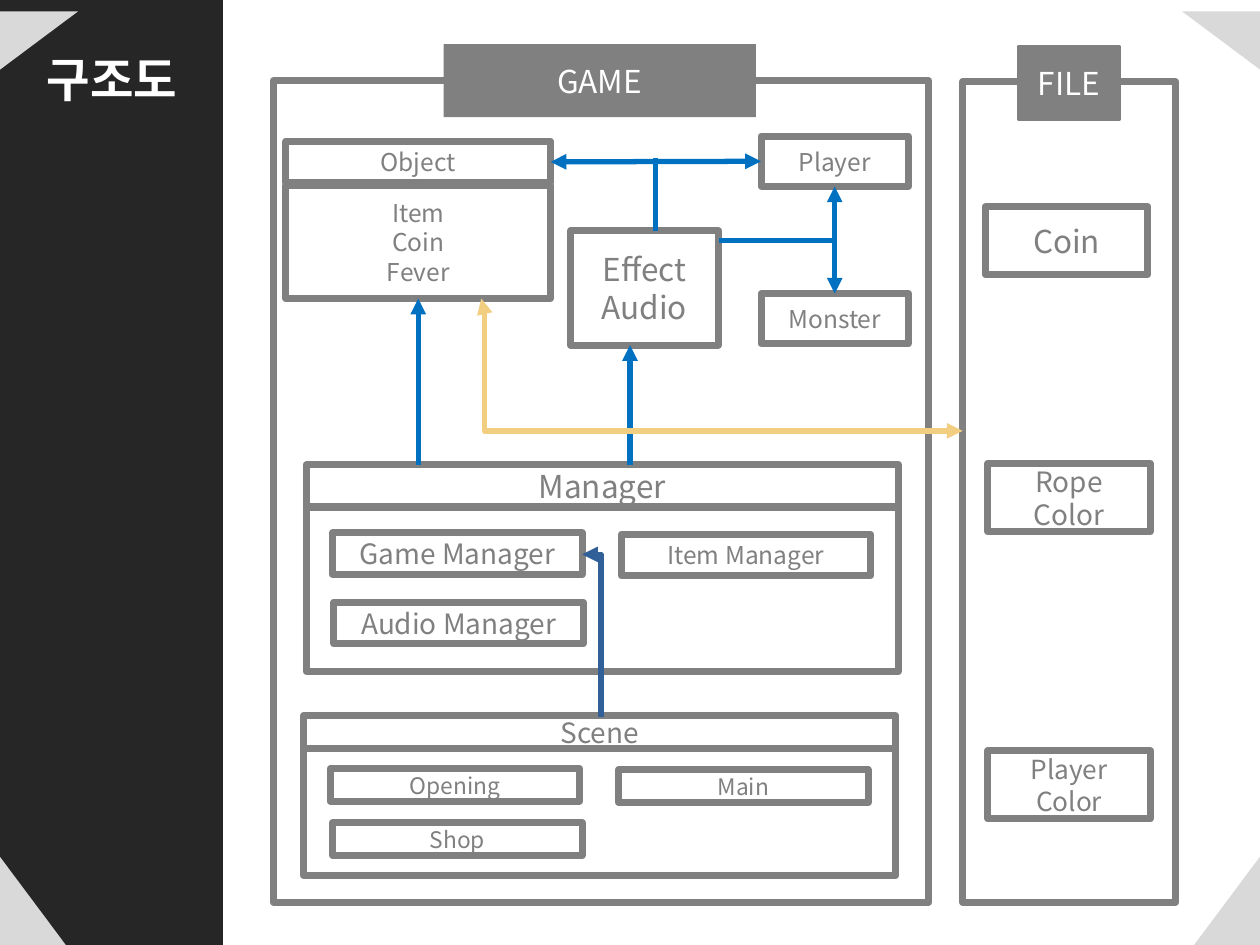
from dataclasses import dataclass
from typing import Optional

from lxml.etree import SubElement
from pptx import Presentation
from pptx.dml.color import RGBColor
from pptx.enum.shapes import MSO_CONNECTOR as Link, MSO_SHAPE as Preset
from pptx.enum.text import MSO_ANCHOR as Anchor, MSO_AUTO_SIZE as AutoSize, PP_ALIGN as Align
from pptx.oxml.ns import qn
from pptx.util import Inches, Pt

FONT = "Noto Sans CJK KR"
GRAY, WHITE, DARK, LIGHT = "808080", "FFFFFF", "262626", "D9D9D9"
BLUE, YELLOW, NAVY = "0070C0", "F2CE80", "315F97"


@dataclass
class Box:
    left: float
    top: float
    width: float
    height: float
    text: str = ""
    size: float = 14
    fill: Optional[str] = None
    line: Optional[str] = GRAY
    weight: float = 4
    color: str = GRAY


@dataclass
class Corner:
    left: float
    top: float
    rotation: int = 0
    flipped: bool = False


@dataclass
class Arrow:
    start: tuple[float, float]
    end: tuple[float, float]
    color: str = BLUE
    head: bool = False
    tail: bool = True
    begin: Optional[tuple[str, int]] = None
    finish: Optional[tuple[str, int]] = None


CORNERS = [
    Corner(9.47, 6.8, 0, True),
    Corner(9.47, 0, 270, True),
    Corner(0, 0, 90),
    Corner(0, 6.8),
]

BOXES = {
    "game frame": Box(2.17, 0.64, 5.2, 6.52),
    "game": Box(3.52, 0.35, 2.48, 0.58, "GAME", 18, GRAY, None, color=WHITE),
    "player": Box(6.04, 1.08, 1.17, 0.4, "Player"),
    "file frame": Box(7.64, 0.65, 1.69, 6.51),
    "file": Box(8.08, 0.37, 0.81, 0.58, "FILE", 18, GRAY, GRAY, 1.5, WHITE),
    "coin": Box(7.82, 1.64, 1.29, 0.54, "Coin", 18),
    "object": Box(2.27, 1.12, 2.1, 0.33, "Object"),
    "object list": Box(2.27, 1.47, 2.1, 0.9, "Item\nCoin\nFever"),
    "monster": Box(6.04, 2.33, 1.17, 0.4, "Monster"),
    "effect": Box(4.53, 1.83, 1.17, 0.91, "Effect\nAudio", 18),
    "manager frame": Box(2.43, 4.03, 4.7, 1.3),
    "game manager": Box(2.64, 4.23, 1.98, 0.33, "Game Manager", 16),
    "audio manager": Box(2.65, 4.78, 1.98, 0.33, "Audio Manager", 16),
    "item manager": Box(4.93, 4.24, 1.98, 0.33, "Item Manager"),
    "manager": Box(2.43, 3.69, 4.7, 0.33, "Manager", 18),
    "rope color": Box(7.84, 3.68, 1.29, 0.54, "Rope Color", 16),
    "scene frame": Box(2.41, 5.94, 4.7, 1.01),
    "opening": Box(2.62, 6.1, 1.98, 0.26, "Opening", 13),
    "shop": Box(2.64, 6.53, 1.98, 0.26, "Shop", 13),
    "main": Box(4.91, 6.11, 1.98, 0.26, "Main", 13),
    "scene": Box(2.41, 5.68, 4.7, 0.26, "Scene", 16),
    "player color": Box(7.84, 5.96, 1.29, 0.54, "Player\nColor", 15),
}

ARROWS = [
    Arrow((4.37, 1.28), (6.04, 1.28), head=True, begin=("object", 3), finish=("player", 1)),
    Arrow((6.62, 2.33), (6.62, 1.48), head=True, begin=("monster", 0), finish=("player", 2)),
    Arrow((5.2, 1.83), (5.2, 1.25), tail=False),
    Arrow((5.71, 1.91), (6.62, 1.91), tail=False),
    Arrow((3.32, 3.69), (3.32, 2.37), finish=("object list", 2)),
    Arrow((5, 3.69), (5, 2.74)),
]
FILE_ARROW = Arrow((7.64, 3.42), (3.82, 2.37), YELLOW, head=True)
SCENE_ARROW = Arrow((5.34, 4.97), (4.05, 5.12), NAVY)


def rgb(color: str) -> RGBColor:
    return RGBColor.from_string(color)


def apply(target, formats: dict) -> None:
    for name, value in formats.items():
        setattr(target, name, value)


def style_span(span, size: float, color: str, bold: bool = False) -> None:
    apply(span.font, {"name": FONT, "size": Pt(size), "bold": bold})
    span.font.color.rgb = rgb(color)
    SubElement(span.font._element, qn("a:ea"), typeface=FONT)


def add_box(page, box: Box, preset=Preset.RECTANGLE):
    shape = page.shapes.add_shape(
        preset, *map(Inches, (box.left, box.top, box.width, box.height)))
    shape.shadow.inherit = False
    if box.fill:
        shape.fill.solid()
        shape.fill.fore_color.rgb = rgb(box.fill)
    else:
        shape.fill.background()
    if box.line:
        shape.line.color.rgb = rgb(box.line)
        shape.line.width = Pt(box.weight)
    else:
        shape.line.fill.background()
    if box.text:
        frame = shape.text_frame
        apply(frame, {"text": box.text, "word_wrap": True, "vertical_anchor": Anchor.MIDDLE})
        for para in frame.paragraphs:
            para.alignment = Align.CENTER
            style_span(para.runs[0], box.size, box.color)
    return shape


def add_corner(page, corner: Corner) -> None:
    box = Box(corner.left, corner.top, 0.53, 0.71, fill=LIGHT, line=None)
    shape = add_box(page, box, Preset.RIGHT_TRIANGLE)
    shape.rotation = corner.rotation
    if corner.flipped:
        shape._element.spPr.find(qn("a:xfrm")).set("flipH", "1")


def add_arrow(page, arrow: Arrow, shapes: dict, kind=Link.STRAIGHT):
    connector = page.shapes.add_connector(kind, *map(Inches, arrow.start + arrow.end))
    if arrow.begin:
        name, site = arrow.begin
        connector.begin_connect(shapes[name], site)
    if arrow.finish:
        name, site = arrow.finish
        connector.end_connect(shapes[name], site)
    connector.line.color.rgb = rgb(arrow.color)
    connector.line.width = Pt(3)
    properties = connector._element.spPr
    outline = properties.find(qn("a:ln"))
    for tag, shown in (("a:headEnd", arrow.head), ("a:tailEnd", arrow.tail)):
        if shown:
            SubElement(outline, qn(tag), type="triangle")
    SubElement(properties, qn("a:effectLst"))
    return connector


def add_elbows(page, shapes: dict) -> None:
    file_link = add_arrow(page, FILE_ARROW, shapes, Link.ELBOW)
    geometry = file_link._element.spPr.find(qn("a:prstGeom"))
    guides = geometry.find(qn("a:avLst"))
    SubElement(guides, qn("a:gd"), name="adj1", fmla="val 99400")

    scene_link = add_arrow(page, SCENE_ARROW, shapes, Link.ELBOW)
    properties = scene_link._element.spPr
    properties.find(qn("a:prstGeom")).set("prst", "bentConnector2")
    properties.find(qn("a:xfrm")).set("rot", str(90 * 60000))


def add_title(page) -> None:
    title = page.shapes.title
    apply(title, {"left": Inches(0.27), "top": Inches(0.35),
                  "width": Inches(1.3), "height": Inches(0.54)})
    frame = title.text_frame
    apply(frame, {"text": "구조도", "word_wrap": False, "vertical_anchor": Anchor.TOP,
                  "auto_size": AutoSize.SHAPE_TO_FIT_TEXT})
    para = frame.paragraphs[0]
    para.alignment = Align.LEFT
    style_span(para.runs[0], 27, WHITE, True)
    page.shapes._spTree.append(title._element)


def main() -> None:
    deck = Presentation()
    apply(deck, {"slide_width": Inches(10), "slide_height": Inches(7.5)})
    page = deck.slides.add_slide(deck.slide_layouts[5])
    add_box(page, Box(0, 0, 1.77, 7.51, fill=DARK, line=None))
    add_title(page)
    for corner in CORNERS:
        add_corner(page, corner)
    shapes = {name: add_box(page, box) for name, box in BOXES.items()}
    for arrow in ARROWS:
        add_arrow(page, arrow, shapes)
    add_elbows(page, shapes)
    deck.save("out.pptx")


if __name__ == "__main__":
    main()
